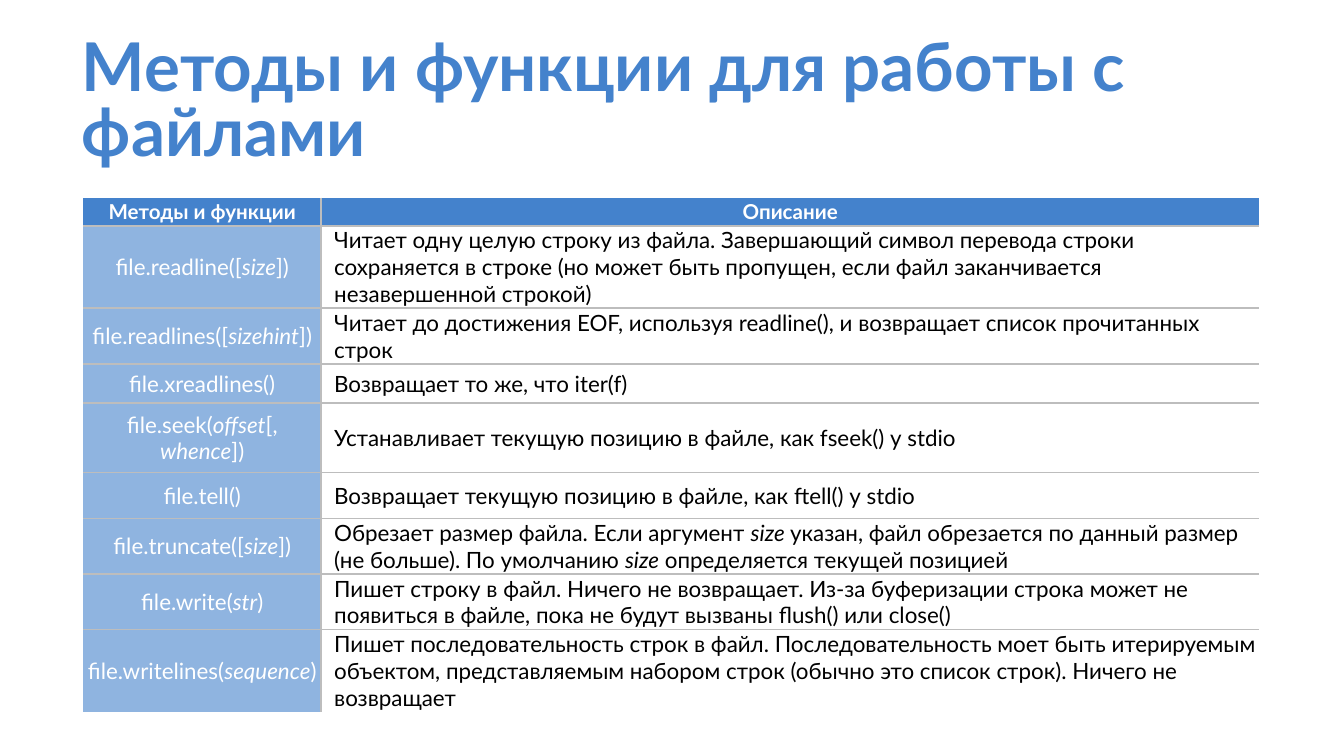
from lxml.etree import SubElement
from pptx import Presentation
from pptx.dml.color import RGBColor
from pptx.enum.text import MSO_ANCHOR, MSO_AUTO_SIZE, PP_ALIGN
from pptx.oxml.ns import qn
from pptx.util import Inches, Pt

TITLE = "Методы и функции для работы с файлами"
HEADER = ("Методы и функции", "Описание", 0.21)
METHODS = [
    ("file.readline([*size*])",
     "Читает одну целую строку из файла. Завершающий символ перевода строки сохраняется в строке "
     "(но может быть пропущен, если файл заканчивается незавершенной строкой)", 0.61),
    ("file.readlines([*sizehint*])",
     "Читает до достижения EOF, используя readline(), и возвращает список прочитанных строк", 0.41),
    ("file.xreadlines()", "Возвращает то же, что iter(f)", 0.29),
    ("file.seek(*offset*[, *whence*])",
     "Устанавливает текущую позицию в файле, как fseek() у stdio", 0.52),
    ("file.tell()", "Возвращает текущую позицию в файле, как ftell() у stdio", 0.34),
    ("file.truncate([*size*])",
     "Обрезает размер файла. Если аргумент *size *указан, файл обрезается по данный размер "
     "(не больше). По умолчанию *size* определяется текущей позицией", 0.41),
    ("file.write(*str*)",
     "Пишет строку в файл. Ничего не возвращает. Из-за буферизации строка может не появиться "
     "в файле, пока не будут вызваны flush() или close()", 0.41),
    ("file.writelines(*sequence*)",
     "Пишет последовательность строк в файл. Последовательность моет быть итерируемым объектом, "
     "представляемым набором строк (обычно это список строк). Ничего не возвращает", 0.61),
]
ROWS = [HEADER] + METHODS
COL_WIDTHS = (1.77, 6.98)
COLORS = {"blue": "4482CC", "light": "8FB4E0", "white": "FFFFFF", "black": "000000", "line": "BDBDBD"}
FONT = "Lato"


def rgb(name):
    return RGBColor.from_string(COLORS[name])


def set_font(p, size, color, bold):
    p.font.name, p.font.size, p.font.bold = FONT, Pt(size), bold
    p.font.color.rgb = rgb(color)


def set_borders(cell, visible):
    tc_pr = cell._tc.get_or_add_tcPr()
    for side in "LRTB":
        ln = SubElement(tc_pr, qn(f"a:ln{side}"), w=str(Pt(1)))
        if visible[side]:
            fill = SubElement(ln, qn("a:solidFill"))
            SubElement(fill, qn("a:srgbClr"), val=COLORS["line"])
        else:
            SubElement(ln, qn("a:noFill"))


def fill_cell(cell, text, row, col):
    header = row == 0
    set_borders(cell, {"L": col > 0, "R": col < len(COL_WIDTHS) - 1,
                       "T": row > 0, "B": row < len(ROWS) - 1})
    cell.fill.solid()
    cell.fill.fore_color.rgb = rgb("blue" if header else ("light", "white")[col])
    cell.vertical_anchor = MSO_ANCHOR.MIDDLE
    cell.margin_left = cell.margin_right = Inches(0.06) if header else Pt(0.5)
    cell.margin_top = cell.margin_bottom = Pt(0 if header else 0.5)
    p = cell.text_frame.paragraphs[0]
    for i, part in enumerate(text.split("*")):
        if part:
            r = p.add_run()
            r.text = part
            r.font.italic = i % 2 == 1
    if header or col == 0:
        p.alignment = PP_ALIGN.CENTER
    else:
        p._p.get_or_add_pPr().set("marL", str(Inches(0.09)))
    set_font(p, 11 if header else 12, "white" if header or col == 0 else "black", header)


prs = Presentation()
prs.slide_width = Inches(10)
prs.slide_height = prs.slide_width * 9 // 16
s = prs.slides.add_slide(prs.slide_layouts[5])

title = s.shapes.title
title.left, title.top, title.width, title.height = map(Inches, (0.51, 0.2, 9.49, 1.16))
tf = title.text_frame
tf.text = TITLE
tf.word_wrap = True
tf.auto_size = MSO_AUTO_SIZE.NONE
tf.vertical_anchor = MSO_ANCHOR.MIDDLE
tf.margin_left = tf.margin_right = tf.margin_top = tf.margin_bottom = Inches(0.1)
p = tf.paragraphs[0]
p.alignment = PP_ALIGN.LEFT
p.line_spacing = 0.8
set_font(p, 36, "blue", True)

height = sum(row[2] for row in ROWS)
table = s.shapes.add_table(len(ROWS), len(COL_WIDTHS), Inches(0.62), Inches(1.47),
                           Inches(sum(COL_WIDTHS)), Inches(height)).table
for column, width in zip(table.columns, COL_WIDTHS):
    column.width = Inches(width)
for i, (method, description, row_height) in enumerate(ROWS):
    table.rows[i].height = Inches(row_height)
    for j, text in enumerate((method, description)):
        fill_cell(table.cell(i, j), text, i, j)

prs.save("out.pptx")
